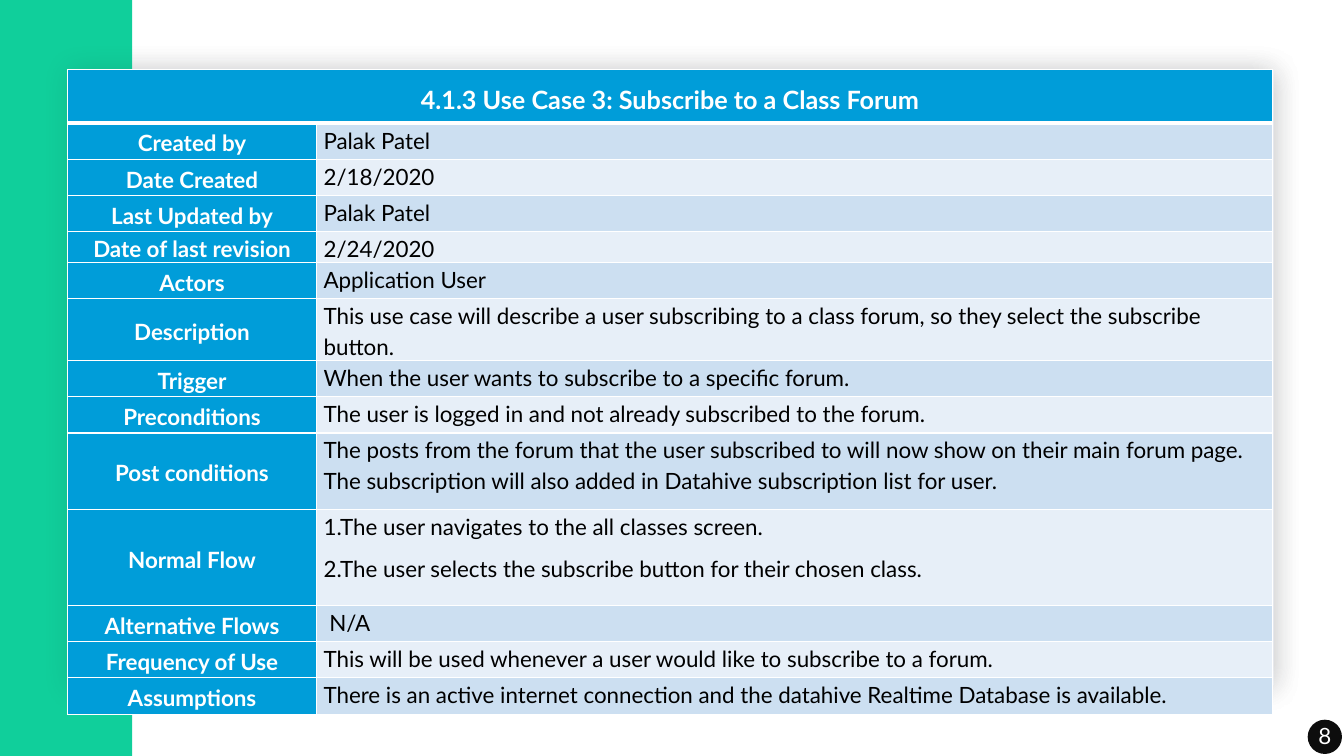
from dataclasses import dataclass

from lxml import etree
from pptx import Presentation
from pptx.dml.color import RGBColor
from pptx.enum.shapes import MSO_SHAPE
from pptx.enum.text import MSO_ANCHOR, PP_ALIGN
from pptx.oxml.ns import qn
from pptx.util import Inches, Pt

RECT, OVAL = MSO_SHAPE.RECTANGLE, MSO_SHAPE.OVAL
TOP, MIDDLE = MSO_ANCHOR.TOP, MSO_ANCHOR.MIDDLE
LEFT, CENTER = PP_ALIGN.LEFT, PP_ALIGN.CENTER

WHITE = RGBColor(0xFF, 0xFF, 0xFF)
BLACK = RGBColor(0x00, 0x00, 0x00)
INK = RGBColor(0x0D, 0x0D, 0x0D)
GREEN = RGBColor(0x10, 0xCF, 0x9B)
PAPER = RGBColor(0xF6, 0xF9, 0xFF)
SHADE = RGBColor(0x1F, 0x21, 0x25)
BLUE = RGBColor(0x00, 0x9D, 0xD9)
BANDS = (RGBColor(0xCC, 0xDF, 0xF1), RGBColor(0xE7, 0xEF, 0xF8))
FONT = "Lato"


@dataclass(frozen=True)
class Style:
    """How the text of a cell or shape looks."""
    color: RGBColor
    size: float = 16
    bold: bool = False
    align: int = LEFT
    anchor: int = TOP
    leading: float = 1.15
    before: float = 4
    after: float = 4


@dataclass(frozen=True)
class Field:
    """One row of the use case: its label, value and height in inches."""
    label: str
    value: str
    height: float = 0.36


HEAD = Style(WHITE, size=18, bold=True, align=CENTER, leading=1.5, before=6, after=0)
LABEL = Style(WHITE, bold=True, align=CENTER, anchor=MIDDLE)
VALUE = Style(BLACK)
NUMBER = Style(WHITE, align=CENTER, anchor=MIDDLE, leading=0.9, before=0, after=6)

TITLE = "4.1.3 Use Case 3: Subscribe to a Class Forum"
FIELDS = (
    Field("Created by", "Palak Patel"),
    Field("Date Created", "2/18/2020"),
    Field("Last Updated by", "Palak Patel"),
    Field("Date of last revision", "2/24/2020", 0.23),
    Field("Actors", "Application User"),
    Field("Description", "This use case will describe a user subscribing to a class "
          "forum, so they select the subscribe button."),
    Field("Trigger", "When the user wants to subscribe to a specific forum."),
    Field("Preconditions",
          "The user is logged in and not already subscribed to the forum."),
    Field("Post conditions", "The posts from the forum that the user subscribed to will "
          "now show on their main forum page. The subscription will also added in "
          "Datahive subscription list for user.", 0.76),
    Field("Normal Flow", "1.The user navigates to the all classes screen.\n"
          "2.The user selects the subscribe button for their chosen class.", 0.95),
    Field("Alternative Flows", "\u00a0N/A"),
    Field("Frequency of Use",
          "This will be used whenever a user would like to subscribe to a forum."),
    Field("Assumptions", "There is an active internet connection and the datahive "
          "Realtime Database is available."),
)


def write(frame, text: str, style: Style) -> None:
    """Put text in a frame and format its paragraphs and runs."""
    frame.text = text
    for para in frame.paragraphs:
        para.alignment = style.align
        para.line_spacing = style.leading
        para.space_before = Pt(style.before)
        para.space_after = Pt(style.after)
        for run in para.runs:
            run.font.name = FONT
            run.font.size = Pt(style.size)
            run.font.bold = style.bold
            run.font.color.rgb = style.color


def block(slide, kind: int, box: tuple, fill: RGBColor):
    """Add a filled shape with no line and no shadow."""
    shape = slide.shapes.add_shape(kind, *map(Inches, box))
    shape.shadow.inherit = False
    shape.fill.solid()
    shape.fill.fore_color.rgb = fill
    shape.line.fill.background()
    return shape


def card(slide) -> None:
    """Add the pale card with its soft shadow."""
    shape = block(slide, RECT, (0.69, 0.69, 11.94, 6.11), PAPER)
    effects = shape._element.spPr.find(qn("a:effectLst"))
    outer = etree.SubElement(effects, qn("a:outerShdw"), blurRad=str(Pt(20)),
                             dist=str(Pt(2)), dir="2700000", algn="ctr", rotWithShape="0")
    color = etree.SubElement(outer, qn("a:srgbClr"), val=str(SHADE))
    etree.SubElement(color, qn("a:alpha"), val="15000")


def edge(cell, top: float = 1, bottom: float = 1) -> None:
    """Give a cell white borders, with widths in points."""
    props = cell._tc.get_or_add_tcPr()
    widths = {"a:lnL": 1, "a:lnR": 1, "a:lnT": top, "a:lnB": bottom}
    for spot, (tag, width) in enumerate(widths.items()):
        line = etree.Element(qn(tag), w=str(Pt(width)))
        fill = etree.SubElement(line, qn("a:solidFill"))
        etree.SubElement(fill, qn("a:srgbClr"), val=str(WHITE))
        props.insert(spot, line)


def paint(cell, text: str, style: Style, fill: RGBColor) -> None:
    """Fill a cell and write its text."""
    cell.fill.solid()
    cell.fill.fore_color.rgb = fill
    cell.margin_left = cell.margin_right = Inches(0.07)
    cell.margin_top = cell.margin_bottom = 0
    cell.vertical_anchor = style.anchor
    write(cell.text_frame, text, style)


def grid(slide) -> None:
    """Add the use case table."""
    heights = [0.53] + [field.height for field in FIELDS]
    box = map(Inches, (0.67, 0.69, 11.95, sum(heights)))
    table = slide.shapes.add_table(len(heights), 2, *box).table
    for column, width in zip(table.columns, (2.47, 9.48)):
        column.width = Inches(width)
    for row, height in zip(table.rows, heights):
        row.height = Inches(height)

    table.cell(0, 0).merge(table.cell(0, 1))
    paint(table.cell(0, 0), TITLE, HEAD, BLUE)
    for row, field in enumerate(FIELDS, start=1):
        paint(table.cell(row, 0), field.label, LABEL, BLUE)
        paint(table.cell(row, 1), field.value, VALUE, BANDS[(row - 1) % 2])
    for row in range(len(heights)):
        for col in range(2):
            edge(table.cell(row, col), top=3 if row == 1 else 1,
                 bottom=3 if row == 0 else 1)


def badge(slide) -> None:
    """Add the round slide number."""
    shape = block(slide, OVAL, (12.97, 7.14, 0.34, 0.34), INK)
    frame = shape.text_frame
    frame.margin_left = frame.margin_right = Inches(0.02)
    frame.margin_top = frame.margin_bottom = Inches(0.05)
    frame.vertical_anchor = MIDDLE
    write(frame, "8", NUMBER)


def main() -> None:
    """Build the slide and save it."""
    deck = Presentation()
    deck.slide_width, deck.slide_height = Inches(13.33), Inches(7.5)
    slide = deck.slides.add_slide(deck.slide_layouts[6])
    card(slide)
    block(slide, RECT, (0, 0, 1.31, 7.5), GREEN)
    card(slide)
    grid(slide)
    badge(slide)
    deck.save("out.pptx")


main()
